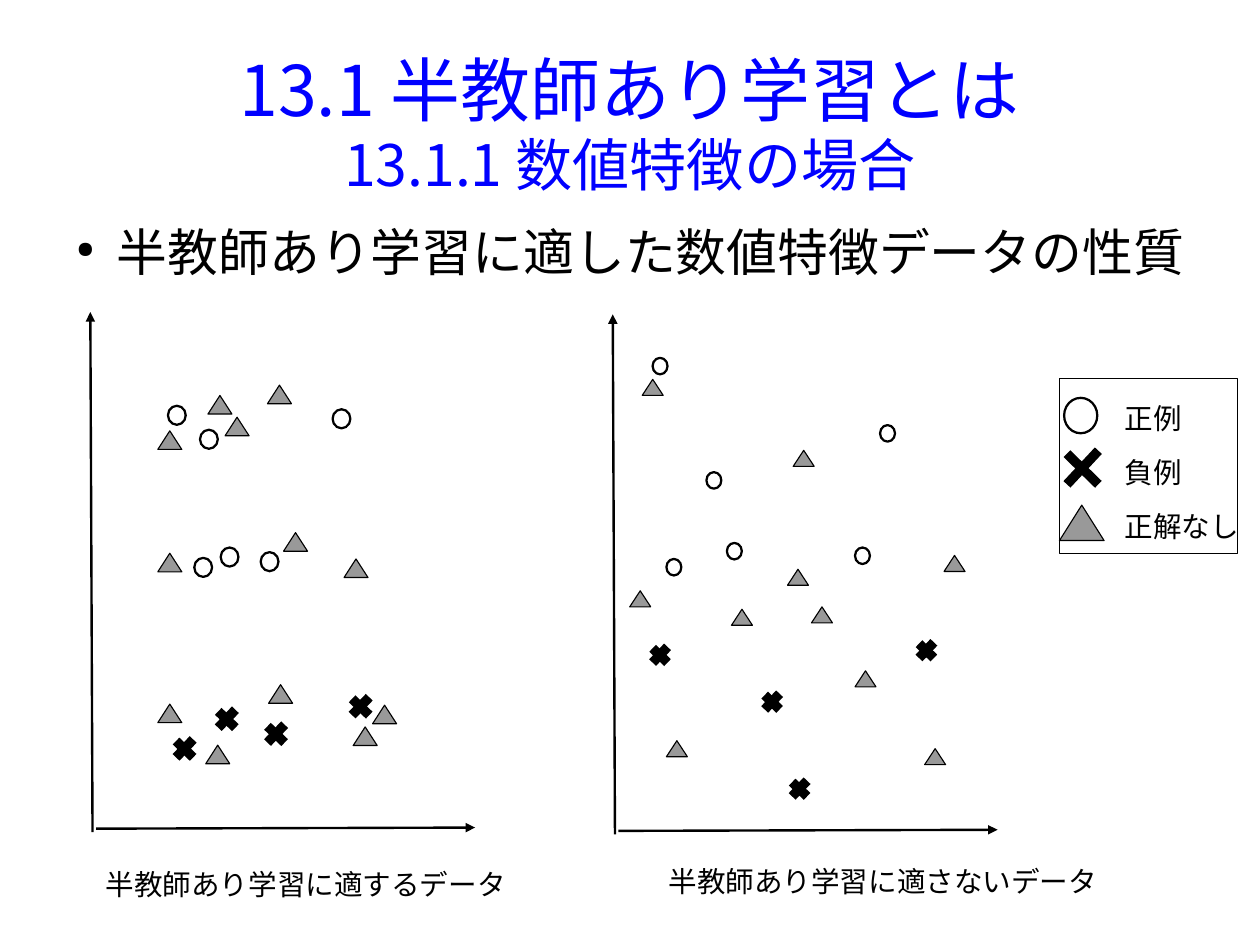
from dataclasses import dataclass

from lxml import etree
from pptx import Presentation
from pptx.dml.color import RGBColor
from pptx.enum.shapes import MSO_CONNECTOR, MSO_SHAPE
from pptx.enum.text import MSO_ANCHOR, MSO_AUTO_SIZE, PP_ALIGN
from pptx.oxml.ns import qn
from pptx.shapes.autoshape import Shape
from pptx.shapes.connector import Connector
from pptx.slide import Slide
from pptx.text.text import TextFrame
from pptx.util import Pt

STRAIGHT = MSO_CONNECTOR.STRAIGHT
ELLIPSE = MSO_SHAPE.OVAL
TRIANGLE = MSO_SHAPE.ISOSCELES_TRIANGLE
RECTANGLE = MSO_SHAPE.RECTANGLE
MIDDLE = MSO_ANCHOR.MIDDLE
CENTER = PP_ALIGN.CENTER
NO_FIT, GROW = MSO_AUTO_SIZE.NONE, MSO_AUTO_SIZE.SHAPE_TO_FIT_TEXT
COLORS = {"title": "0000FF", "ink": "000000", "unlabeled": "999999"}
CJK_FONT = "Noto Sans CJK JP"
LATIN_FONT = "Arial"

Point = tuple[float, float]


@dataclass(frozen=True)
class MarkSizes:
    circle: Point
    triangle: Point
    cross: Point


@dataclass(frozen=True)
class Plot:
    """A scatter plot; marks are given by their top-left corners."""
    origin: Point
    sizes: MarkSizes
    positives: list[Point]
    negatives: list[Point]
    unlabeled: list[Point]
    caption: str
    caption_at: Point
    caption_width: float


PLOTS = [
    Plot(
        origin=(58.3, 524.2),
        sizes=MarkSizes((11.2, 12), (15.1, 11.7), (10.8, 11.3)),
        positives=[(105.8, 255.6), (126, 270.7), (209.5, 257.8),
                   (122.4, 351.4), (164.2, 347.8), (139, 344.9)],
        negatives=[(110.9, 465.8), (137.5, 447.1), (168.5, 456.5), (221.8, 439.2)],
        unlabeled=[(99.4, 443.5), (129.6, 469.4), (169.2, 431.3), (222.5, 457.9),
                   (234.7, 444.2), (99.4, 348.5), (178.6, 335.5), (99.4, 271.4),
                   (131, 249.1), (141.8, 262.8), (216.7, 352.1), (168.5, 242.6)],
        caption="半教師あり学習に適するデータ",
        caption_at=(59.5, 542.6),
        caption_width=266.4,
    ),
    Plot(
        origin=(387.4, 525.6),
        sizes=MarkSizes((9.4, 10.4), (13.2, 10.1), (9.4, 9.9)),
        positives=[(411.1, 225.4), (445, 297.4), (554.4, 267.8),
                   (419.8, 352.1), (457.9, 342), (538.6, 344.9)],
        negatives=[(411.1, 407.5), (481.7, 437), (499, 491.8), (578.9, 404.6)],
        unlabeled=[(419.8, 466.6), (460.8, 383.8), (511.2, 382.3), (582.5, 471.6),
                   (594.7, 349.9), (499.7, 283.7), (538.6, 422.6), (404.6, 239),
                   (496.1, 358.6), (396.7, 372.2)],
        caption="半教師あり学習に適さないデータ",
        caption_at=(414, 540.4),
        caption_width=284.4,
    ),
]

LEGEND_SIZES = MarkSizes((20.9, 22.3), (28.1, 22.3), (19.8, 21.2))
LEGEND_LABELS = [("正例", 50.4), ("負例", 50.4), ("正解なし", 86.4)]
LEGEND_TOP, LEGEND_STEP = 249.1, 33.85


def rgb(key: str) -> RGBColor:
    return RGBColor.from_string(COLORS[key])


def set_margins(frame: TextFrame, horizontal: float, vertical: float) -> None:
    frame.margin_left = frame.margin_right = Pt(horizontal)
    frame.margin_top = frame.margin_bottom = Pt(vertical)


def format_run(run, size: float, color: str, font: str) -> None:
    """Set the font, with the Japanese face for East Asian letters."""
    run.font.size = Pt(size)
    run.font.color.rgb = rgb(color)
    run.font.name = font
    etree.SubElement(run.font._element, qn("a:ea"), typeface=CJK_FONT)


def add_line(slide: Slide, start: Point, end: Point, width: float) -> Connector:
    line = slide.shapes.add_connector(STRAIGHT, *map(Pt, start + end))
    line.line.color.rgb = rgb("ink")
    line.line.width = Pt(width)
    etree.SubElement(line._element.spPr, qn("a:effectLst"))
    return line


def add_axis(slide: Slide, start: Point, end: Point) -> None:
    axis = add_line(slide, start, end, 1.5)
    etree.SubElement(axis.line._get_or_add_ln(), qn("a:tailEnd"), type="triangle")


def add_outline(slide: Slide, kind: MSO_SHAPE, at: Point, size: Point, width: float) -> Shape:
    shape = slide.shapes.add_shape(kind, *map(Pt, at + size))
    shape.shadow.inherit = False
    shape.fill.background()
    shape.line.color.rgb = rgb("ink")
    shape.line.width = Pt(width)
    return shape


def add_positive(slide: Slide, at: Point, sizes: MarkSizes) -> None:
    add_outline(slide, ELLIPSE, at, sizes.circle, 1.42)


def add_unlabeled(slide: Slide, at: Point, sizes: MarkSizes) -> None:
    triangle = add_outline(slide, TRIANGLE, at, sizes.triangle, 0.71)
    triangle.fill.solid()
    triangle.fill.fore_color.rgb = rgb("unlabeled")


def add_negative(slide: Slide, at: Point, sizes: MarkSizes) -> None:
    left, top = at
    width, height = sizes.cross
    right, bottom = left + width, top + height
    add_line(slide, (right, top), (left, bottom), 6)
    add_line(slide, (left, top + 0.09 * height), (right, bottom), 6)


def add_label(slide: Slide, text: str, at: Point, width: float) -> None:
    frame = slide.shapes.add_textbox(*map(Pt, at), Pt(width), Pt(33.8)).text_frame
    frame.word_wrap = False
    frame.auto_size = GROW
    set_margins(frame, 7.2, 3.6)
    frame.text = text
    format_run(frame.paragraphs[0].runs[0], 18, "ink", LATIN_FONT)


def add_plot(slide: Slide, plot: Plot) -> None:
    x, y = plot.origin
    add_axis(slide, (x, y), (x - 1.4, y - 327.6))
    add_axis(slide, (x + 2.2, y - 2.2), (x + 241, y - 2.9))
    for add_mark, places in ((add_positive, plot.positives),
                             (add_negative, plot.negatives),
                             (add_unlabeled, plot.unlabeled)):
        for place in places:
            add_mark(slide, place, plot.sizes)
    add_label(slide, plot.caption, plot.caption_at, plot.caption_width)


def add_legend(slide: Slide) -> None:
    add_positive(slide, (670.3, 250.6), LEGEND_SIZES)
    add_unlabeled(slide, (667.4, 318.2), LEGEND_SIZES)
    add_negative(slide, (672.1, 283.9), LEGEND_SIZES)
    for row, (text, width) in enumerate(LEGEND_LABELS):
        add_label(slide, text, (701.3, LEGEND_TOP + row * LEGEND_STEP), width)
    add_outline(slide, RECTANGLE, (667.4, 238.3), (112.1, 110.2), 0)


def add_title(slide: Slide) -> None:
    title = slide.shapes.title
    title.left, title.top, title.width, title.height = map(Pt, (39.6, 21.9, 714.3, 120.5))
    frame = title.text_frame
    frame.vertical_anchor = MIDDLE
    frame.auto_size = NO_FIT
    set_margins(frame, 0, 0)
    frame.text = "13.1 半教師あり学習とは\v13.1.1 数値特徴の場合"
    heading = frame.paragraphs[0]
    heading.alignment = CENTER
    heading.line_spacing = Pt(42.5)
    for run, size in zip(heading.runs, (44, 36)):
        format_run(run, size, "title", CJK_FONT)


def add_topic(slide: Slide) -> None:
    frame = slide.shapes.add_textbox(*map(Pt, (39.6, 139, 714.3, 345.6))).text_frame
    frame.word_wrap = True
    set_margins(frame, 0, 0)
    frame.text = "半教師あり学習に適した数値特徴データの性質"
    topic = frame.paragraphs[0]
    properties = topic._p.get_or_add_pPr()
    properties.set("marL", str(Pt(34)))
    properties.set("indent", str(Pt(-25.5)))
    bullet_color = etree.SubElement(properties, qn("a:buClr"))
    etree.SubElement(bullet_color, qn("a:srgbClr"), val=COLORS["ink"])
    etree.SubElement(properties, qn("a:buSzPct"), val="45000")
    etree.SubElement(properties, qn("a:buChar"), char="●")
    topic.space_after = Pt(14.2)
    format_run(topic.runs[0], 32, "ink", CJK_FONT)


def main() -> None:
    deck = Presentation()
    deck.slide_width, deck.slide_height = Pt(793.7), Pt(595.28)
    slide = deck.slides.add_slide(deck.slide_layouts[5])
    add_title(slide)
    add_topic(slide)
    for plot in PLOTS:
        add_plot(slide, plot)
    add_legend(slide)
    deck.save("out.pptx")


if __name__ == "__main__":
    main()
